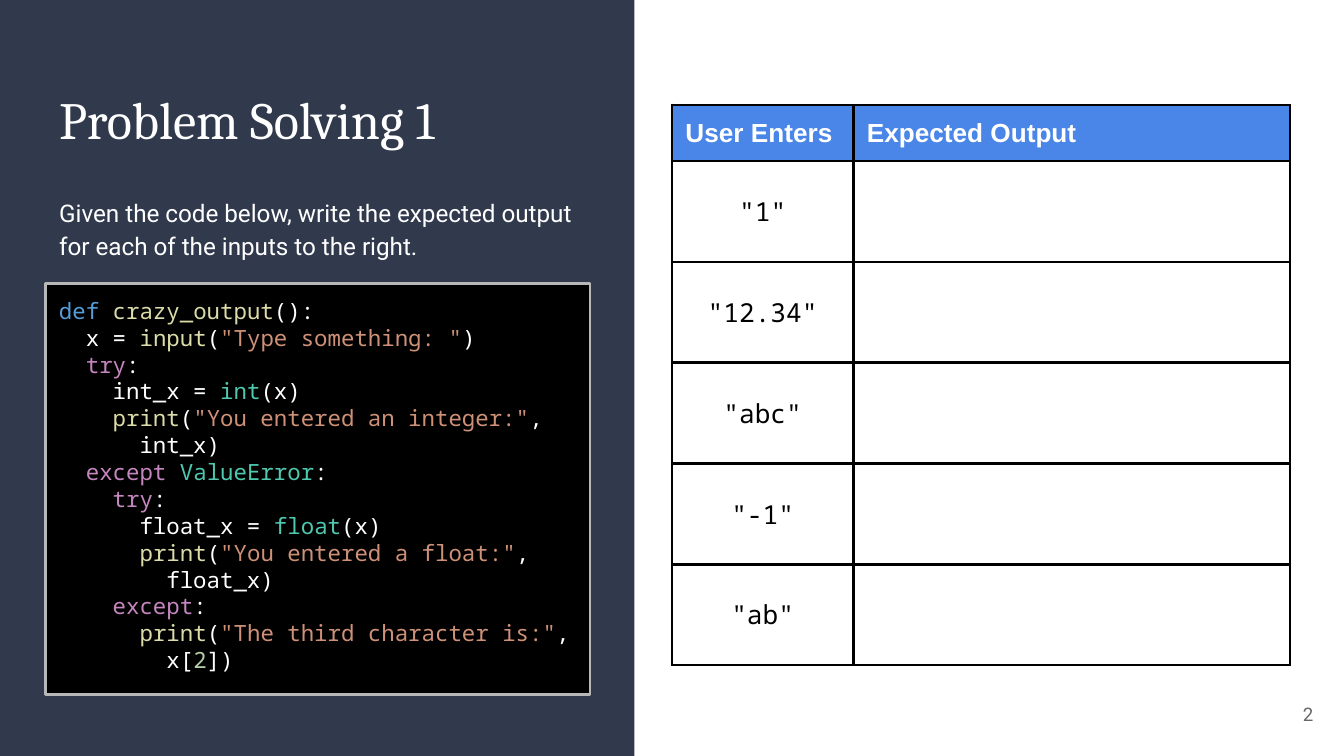
from dataclasses import dataclass

import pptx
import pptx.dml.color
import pptx.enum.shapes
import pptx.enum.text
import pptx.oxml
import pptx.oxml.ns
import pptx.util
from pptx.util import Inches

COLORS = {
    "panel": "31394D", "white": "FFFFFF", "black": "000000",
    "header": "4A86E8", "frame": "B7B7B7", "number": "666666",
    "keyword": "569CD6", "function": "DCDCAA", "string": "CE9178",
    "control": "C586C0", "type": "4EC9B0", "digit": "B5CEA8",
}
ALIGN = pptx.enum.text.PP_ALIGN
ANCHOR = pptx.enum.text.MSO_ANCHOR
MARGIN = Inches(0.1)
SLIDE_WIDTH = 10
SLIDE_HEIGHT = SLIDE_WIDTH * 9 / 16


@dataclass(frozen=True)
class Box:
    left: float
    top: float
    width: float
    height: float

    def lengths(self) -> list:
        return [Inches(n) for n in (self.left, self.top, self.width, self.height)]


@dataclass(frozen=True)
class Style:
    font: str
    size: float
    color: str
    bold: bool = False


@dataclass(frozen=True)
class Token:
    text: str
    color: str = "white"


TITLE = Style("Cambria", 28, "white")
BODY = Style("Roboto", 13, "white")
NUMBER = Style("Roboto", 10, "number")
HEADER = Style("Arial", 14, "white", True)
ENTRY = Style("Noto Sans Mono", 14, "black")


def rgb(name: str) -> pptx.dml.color.RGBColor:
    return pptx.dml.color.RGBColor.from_string(COLORS[name])


def format_run(run, style: Style) -> None:
    run.font.name = style.font
    run.font.size = pptx.util.Pt(style.size)
    run.font.bold = style.bold
    run.font.color.rgb = rgb(style.color)


def prepare_frame(text_frame, anchor=ANCHOR.TOP) -> None:
    text_frame.word_wrap = True
    text_frame.auto_size = pptx.enum.text.MSO_AUTO_SIZE.NONE
    text_frame.vertical_anchor = anchor
    text_frame.margin_left = text_frame.margin_right = MARGIN
    text_frame.margin_top = text_frame.margin_bottom = MARGIN


def write_text(shape, box: Box, text: str, style: Style,
               anchor=ANCHOR.TOP, align=ALIGN.LEFT) -> None:
    shape.left, shape.top, shape.width, shape.height = box.lengths()
    prepare_frame(shape.text_frame, anchor)
    shape.text_frame.text = text
    paragraph = shape.text_frame.paragraphs[0]
    paragraph.alignment = align
    paragraph.space_before = pptx.util.Pt(0)
    format_run(paragraph.runs[0], style)


def add_rectangle(slide, box: Box, fill: str):
    kind = pptx.enum.shapes.MSO_SHAPE.RECTANGLE
    shape = slide.shapes.add_shape(kind, *box.lengths())
    shape.shadow.inherit = False
    shape.fill.solid()
    shape.fill.fore_color.rgb = rgb(fill)
    shape.line.fill.background()
    return shape


def add_code(slide, box: Box, lines: list[list[Token]]) -> None:
    shape = add_rectangle(slide, box, "black")
    shape.line.color.rgb = rgb("frame")
    shape.line.width = pptx.util.Pt(1.5)
    text_frame = shape.text_frame
    prepare_frame(text_frame)
    for index, tokens in enumerate(lines):
        paragraph = text_frame.add_paragraph() if index else text_frame.paragraphs[0]
        paragraph.alignment = ALIGN.LEFT
        for token in tokens:
            run = paragraph.add_run()
            run.text = token.text
            format_run(run, Style("Noto Sans Mono", 12, token.color))


def set_borders(cell) -> None:
    properties = cell._tc.get_or_add_tcPr()
    for position, side in enumerate(("lnL", "lnR", "lnT", "lnB")):
        border = pptx.oxml.parse_xml(
            f'<a:{side} {pptx.oxml.ns.nsdecls("a")} w="{pptx.util.Pt(1.5)}">'
            f'<a:solidFill><a:srgbClr val="{COLORS["black"]}"/></a:solidFill></a:{side}>')
        properties.insert(position, border)


def write_cell(cell, text: str, is_header: bool) -> None:
    cell.margin_left = cell.margin_right = MARGIN
    cell.margin_top = cell.margin_bottom = MARGIN
    cell.vertical_anchor = ANCHOR.TOP if is_header else ANCHOR.MIDDLE
    if is_header:
        cell.fill.solid()
        cell.fill.fore_color.rgb = rgb("header")
    else:
        cell.fill.background()
    cell.text_frame.text = text
    paragraph = cell.text_frame.paragraphs[0]
    paragraph.alignment = ALIGN.LEFT if is_header else ALIGN.CENTER
    for run in paragraph.runs:
        format_run(run, HEADER if is_header else ENTRY)
    set_borders(cell)


def add_answer_table(slide, left: float, top: float, headers: list[str],
                     entries: list[str]) -> None:
    widths = [1.35, 3.25]
    heights = [0.38] + [0.75] * len(entries)
    box = Box(left, top, sum(widths), sum(heights))
    table = slide.shapes.add_table(len(heights), len(widths), *box.lengths()).table
    table.first_row = table.horz_banding = False
    for column, width in zip(table.columns, widths):
        column.width = Inches(width)
    for row, height in zip(table.rows, heights):
        row.height = Inches(height)
    contents = [headers] + [[entry, ""] for entry in entries]
    for row_index, texts in enumerate(contents):
        for column_index, text in enumerate(texts):
            write_cell(table.cell(row_index, column_index), text, row_index == 0)


def print_call(message: str) -> list[Token]:
    return [Token("print", "function"), Token("("),
            Token(f'"{message}"', "string"), Token(",")]


def block_start(indent: str, word: str) -> list[Token]:
    return [Token(indent), Token(word, "control"), Token(":")]


def conversion(start: str, type_name: str) -> list[Token]:
    return [Token(start), Token(type_name, "type"), Token("(x)")]


CODE = [
    [Token("def ", "keyword"), Token("crazy_output", "function"), Token("():")],
    [Token("  x = "), Token("input", "function"), Token("("),
     Token('"Type something: "', "string"), Token(")")],
    block_start("  ", "try"),
    conversion("    int_x = ", "int"),
    [Token("    "), *print_call("You entered an integer:")],
    [Token("      int_x)")],
    [Token("  "), Token("except ", "control"), Token("ValueError", "type"), Token(":")],
    block_start("    ", "try"),
    conversion("      float_x = ", "float"),
    [Token("      "), *print_call("You entered a float:")],
    [Token("        float_x)")],
    block_start("    ", "except"),
    [Token("      "), *print_call("The third character is:")],
    [Token("        x["), Token("2", "digit"), Token("])")],
]


def main() -> None:
    presentation = pptx.Presentation()
    presentation.slide_width = Inches(SLIDE_WIDTH)
    presentation.slide_height = Inches(SLIDE_HEIGHT)
    slide = presentation.slides.add_slide(presentation.slide_layouts[1])

    # Dark left panel, behind the placeholders
    panel = add_rectangle(slide, Box(0, 0, 4.72, SLIDE_HEIGHT), "panel")
    slide.shapes._spTree.insert(2, panel._element)

    # Title and instructions
    write_text(slide.shapes.title, Box(0.34, 0.55, 4.05, 0.7), "Problem Solving 1", TITLE)
    body = slide.placeholders[1]
    write_text(body, Box(0.34, 1.32, 4.05, 0.74),
               "Given the code below, write the expected output "
               "for each of the inputs to the right.", BODY, ANCHOR.MIDDLE)
    paragraph = body.text_frame.paragraphs[0]
    paragraph.line_spacing = 1.15
    properties = paragraph._p.get_or_add_pPr()
    properties.set("marL", "0")
    properties.set("indent", "0")
    properties.append(pptx.oxml.parse_xml(f'<a:buNone {pptx.oxml.ns.nsdecls("a")}/>'))

    # Slide number
    number_box = Box(9.27, 5.1, 0.6, 0.43)
    number = slide.shapes.add_textbox(*number_box.lengths())
    write_text(number, number_box, "2", NUMBER, ANCHOR.MIDDLE, ALIGN.RIGHT)

    # Code listing and answer table
    add_code(slide, Box(0.34, 2.11, 4.05, 3.06), CODE)
    add_answer_table(slide, 5, 0.78, ["User Enters", "Expected Output"],
                     ['"1"', '"12.34"', '"abc"', '"-1"', '"ab"'])

    presentation.save("out.pptx")


if __name__ == "__main__":
    main()
